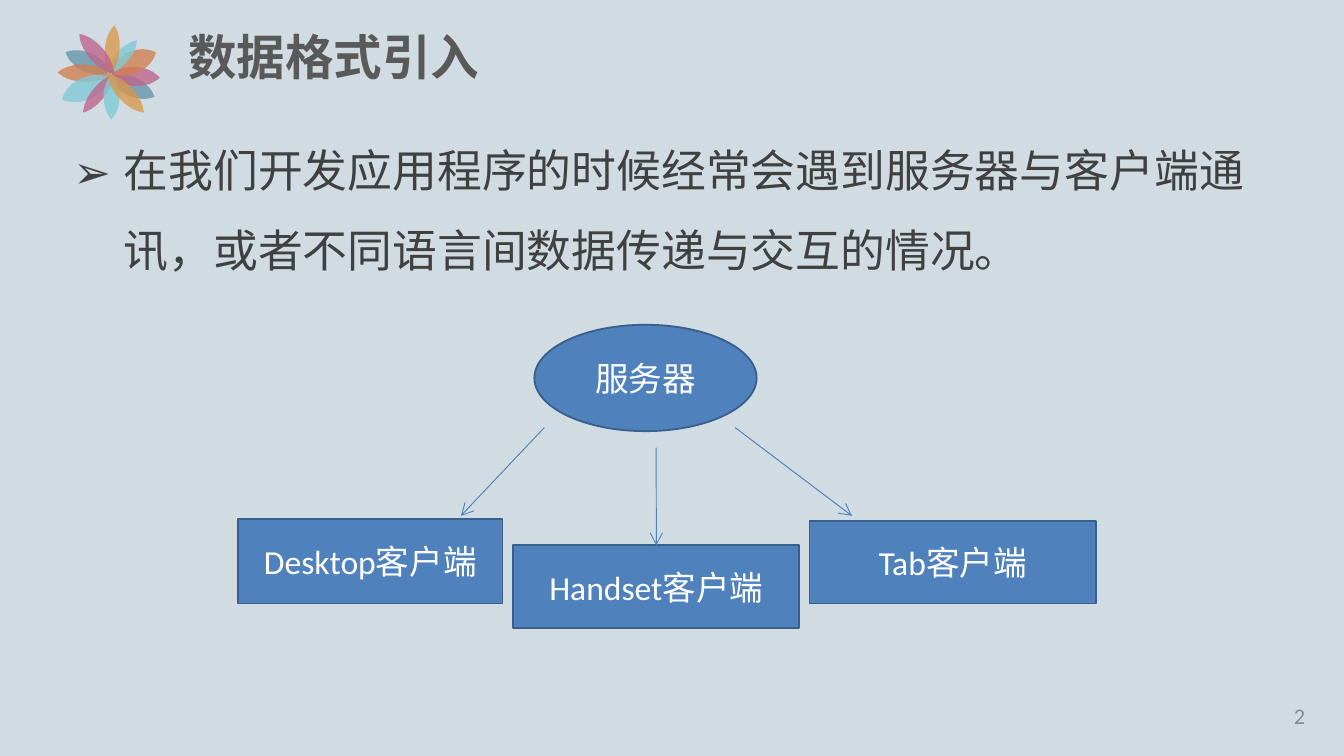
from dataclasses import dataclass
from lxml.etree import SubElement
from pptx import Presentation
from pptx.dml.color import RGBColor as Rgb
from pptx.enum.shapes import MSO_CONNECTOR as Link, MSO_SHAPE as Kind
from pptx.enum.text import MSO_ANCHOR as Anchor, PP_ALIGN as Align
from pptx.oxml.ns import qn
from pptx.util import Cm, Pt


@dataclass
class Theme:
    back: str = "D1DCE2"
    head: str = "595959"
    body: str = "404040"
    page: str = "898989"
    node: str = "4F81BD"
    edge: str = "3A5F8C"
    white: str = "FFFFFF"
    slate: str = "6694AB"
    rust: str = "D27E50"
    rose: str = "BF638A"
    aqua: str = "80CAD7"
    gold: str = "DB9649"
    latin: str = "Calibri"
    han: str = "Noto Sans CJK SC"
    big: int = 26
    mid: int = 24
    small: int = 18
    tiny: int = 12


def style(para, size, color, font, bold=False):
    for run in para.runs:
        run.font.size = Pt(size)
        run.font.bold = bold
        run.font.name = font
        run.font.color.rgb = Rgb.from_string(color)
        if font == theme.han:
            SubElement(run.font._element, qn("a:ea"), typeface=font)


def curve(shape):
    track = shape._element.find(".//" + qn("a:path"))
    lines = track.findall(qn("a:lnTo"))
    for start in range(0, len(lines), 3):
        first, *rest = lines[start:start + 3]
        first.tag = qn("a:cubicBezTo")
        for line in rest:
            first.append(line[0])
            track.remove(line)


theme = Theme()
deck = Presentation()
deck.slide_width, deck.slide_height = Cm(25.4), Cm(14.29)
slide = deck.slides.add_slide(deck.slide_layouts[5])
slide.background.fill.solid()
slide.background.fill.fore_color.rgb = Rgb.from_string(theme.back)
shapes = slide.shapes

petals = [
    (1.24, 0.99, 2.08, 1.37, 0.36, theme.slate, 78),
    (2.92, 1.83, 2.08, 1.45, 0.36, theme.slate, 78),
    (1.09, 1.37, 2.11, 1.4, 0.33, theme.rust, 78),
    (3.02, 1.47, 2.08, 1.42, 0.36, theme.rose, 78),
    (1.17, 1.88, 2.08, 1.47, 0.42, theme.aqua, 78),
    (2.95, 0.99, 2.08, 1.37, 0.42, theme.rust, 78),
    (1.57, 2.13, 2.16, 1.4, 0.25, theme.rose, 78),
    (2.59, 0.76, 2.03, 1.4, 0.25, theme.aqua, 81),
    (2.16, 0.48, 2.08, 1.4, 0.28, theme.gold, 78),
    (2.11, 2.26, 2.11, 1.4, 0.3, theme.aqua, 81),
    (1.5, 0.64, 2.16, 1.4, 0.3, theme.rose, 78),
    (2.72, 2.13, 2.03, 1.4, 0.3, theme.gold, 78),
]
half = [(0.12, 0.33), (0.3, 0.5), (0.5, 0.5), (0.7, 0.5), (0.88, 0.33), (1, 0)]
rim = half + [(1 - part, -side) for part, side in half]
flower = shapes.add_group_shape()
for tip_x, tip_y, base_x, base_y, width, color, alpha in petals:
    run_x, run_y = base_x - tip_x, base_y - tip_y
    thick = width / (run_x ** 2 + run_y ** 2) ** 0.5
    pen = flower.shapes.build_freeform(Cm(tip_x), Cm(tip_y))
    pen.add_line_segments([
        (Cm(tip_x + run_x * part - run_y * side * thick),
         Cm(tip_y + run_y * part + run_x * side * thick))
        for part, side in rim
    ], close=True)
    petal = pen.convert_to_shape()
    curve(petal)
    petal.shadow.inherit = False
    petal.line.fill.background()
    petal.fill.solid()
    petal.fill.fore_color.rgb = Rgb.from_string(color)
    tint = petal._element.spPr.find(".//" + qn("a:srgbClr"))
    SubElement(tint, qn("a:alpha"), val=str(alpha * 1000))

title = shapes.title
title.left, title.top, title.width, title.height = map(Cm, (3.3, 0.38, 16.94, 1.65))
title.text_frame.text = "数据格式引入"
title.text_frame.vertical_anchor = Anchor.TOP
para = title.text_frame.paragraphs[0]
para.alignment = Align.LEFT
style(para, theme.big, theme.head, theme.han, True)

page = shapes.add_textbox(Cm(23.09), Cm(13.14), Cm(1.83), Cm(0.76))
page.text_frame.text = "2"
page.text_frame.word_wrap = True
page.text_frame.vertical_anchor = Anchor.MIDDLE
para = page.text_frame.paragraphs[0]
para.alignment = Align.RIGHT
style(para, theme.tiny, theme.page, theme.latin)

body = shapes.add_textbox(Cm(1.14), Cm(2.06), Cm(22.86), Cm(10.39))
body.text_frame.word_wrap = True
body.text_frame.text = "在我们开发应用程序的时候经常会遇到服务器与客户端通讯，或者不同语言间数据传递与交互的情况。"
para = body.text_frame.paragraphs[0]
para.line_spacing = 1.5
style(para, theme.mid, theme.body, theme.han)
props = para._p.get_or_add_pPr()
props.set("marL", str(Cm(0.95)))
props.set("indent", str(-Cm(0.95)))
SubElement(props, qn("a:buFont"), typeface=theme.han)
SubElement(props, qn("a:buChar"), char="➢")

nodes = []
for kind, text, *area in [
    (Kind.OVAL, "服务器", 10.1, 6.14, 4.2, 2.01),
    (Kind.RECTANGLE, "Desktop客户端", 4.5, 9.81, 5, 1.6),
    (Kind.RECTANGLE, "Handset客户端", 9.7, 10.31, 5.41, 1.56),
    (Kind.RECTANGLE, "Tab客户端", 15.3, 9.85, 5.41, 1.56),
]:
    node = shapes.add_shape(kind, *map(Cm, area))
    node.shadow.inherit = False
    node.fill.solid()
    node.fill.fore_color.rgb = Rgb.from_string(theme.node)
    node.line.color.rgb = Rgb.from_string(theme.edge)
    node.line.width = Pt(1)
    node.text_frame.text = text
    node.text_frame.vertical_anchor = Anchor.MIDDLE
    para = node.text_frame.paragraphs[0]
    para.alignment = Align.CENTER
    style(para, theme.small, theme.white, theme.latin)
    nodes.append(node)

arrows = []
for ends in [
    (10.29, 8.08, 8.71, 9.75),
    (12.4, 8.46, 12.4, 10.31),
    (13.89, 8.08, 16.1, 9.75),
]:
    arrow = shapes.add_connector(Link.STRAIGHT, *map(Cm, ends))
    arrow.line.color.rgb = Rgb.from_string(theme.node)
    arrow.line.width = Pt(0.5)
    SubElement(arrow.line._get_or_add_ln(), qn("a:tailEnd"), type="arrow")
    SubElement(arrow._element.spPr, qn("a:effectLst"))
    arrows.append(arrow)
arrows[1].end_connect(nodes[2], 0)

deck.save("out.pptx")
